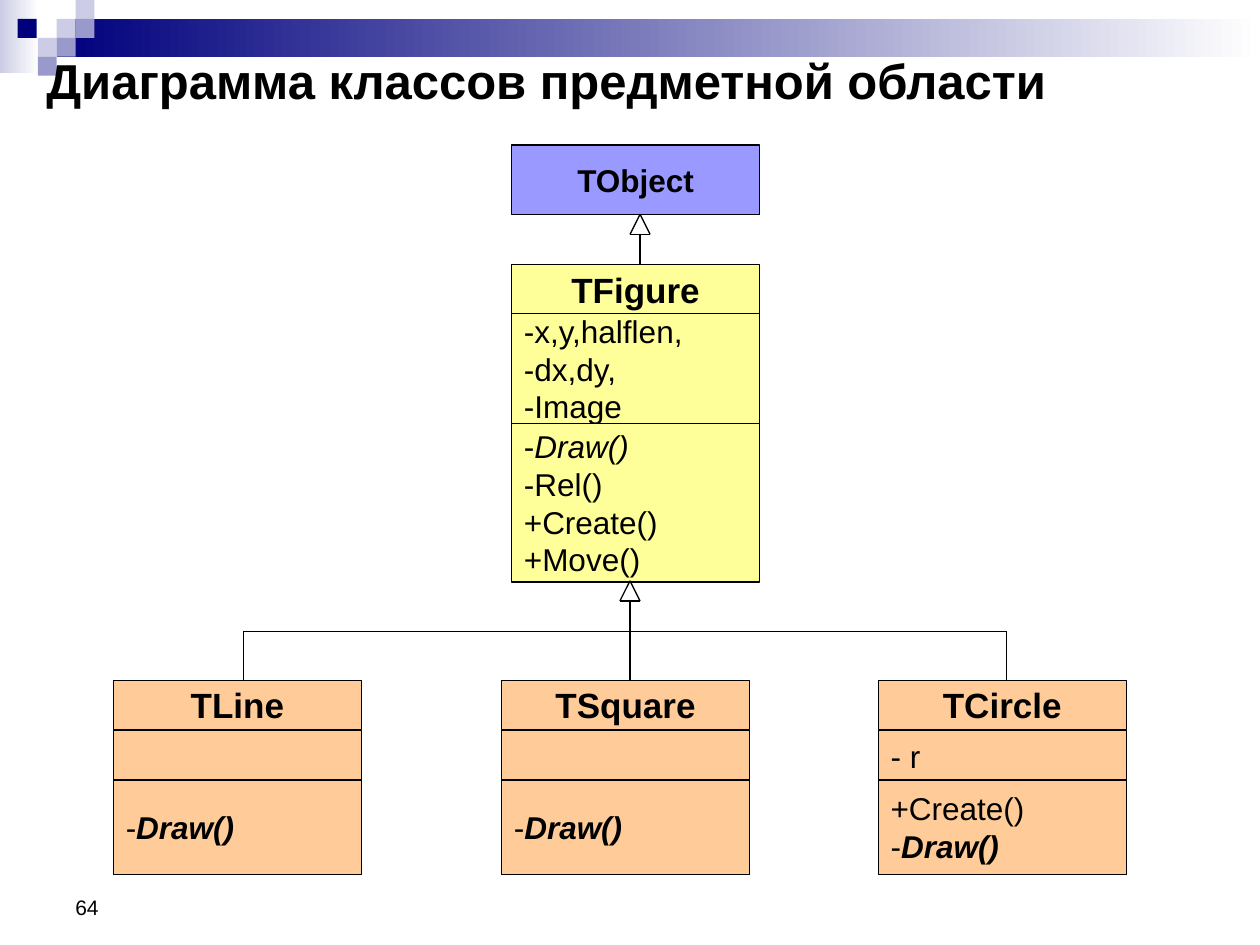
from pptx import Presentation
from pptx.dml.color import RGBColor
from pptx.enum.shapes import MSO_CONNECTOR, MSO_SHAPE
from pptx.enum.text import MSO_ANCHOR, PP_ALIGN
from pptx.oxml.ns import qn
from pptx.util import Inches, Pt
from lxml.etree import SubElement

COLORS = {
    "black": "000000", "white": "FFFFFF", "navy": "00007D",
    "pale": "CCCCE6", "lilac": "9999CC", "root": "9999FF",
    "base": "FFFF99", "child": "FFCC99",
}
FONT = "Arial"
CLASS_W = 1.97

prs = Presentation()
prs.slide_width, prs.slide_height = Inches(10), Inches(7.5)
s = prs.slides.add_slide(prs.slide_layouts[6])


def add_rect(x, y, w, h, *fills, outline=False):
    sp = s.shapes.add_shape(MSO_SHAPE.RECTANGLE, Inches(x), Inches(y), Inches(w), Inches(h))
    sp.shadow.inherit = False
    if len(fills) == 1:
        sp.fill.solid()
        sp.fill.fore_color.rgb = RGBColor.from_string(COLORS[fills[0]])
    else:
        sp.fill.gradient()
        sp.fill.gradient_angle = 0
        for stop, name in zip(sp.fill.gradient_stops, fills):
            stop.color.rgb = RGBColor.from_string(COLORS[name])
    if outline:
        sp.line.color.rgb = RGBColor.from_string(COLORS["black"])
        sp.line.width = Pt(0.75)
    else:
        sp.line.fill.background()
    return sp


def write(sp, lines, size, bold=None, align=PP_ALIGN.LEFT, anchor=MSO_ANCHOR.MIDDLE):
    tf = sp.text_frame
    tf.word_wrap = True
    tf.vertical_anchor = anchor
    for i, line in enumerate(lines):
        p = tf.add_paragraph() if i else tf.paragraphs[0]
        p.alignment = align
        p.font.name, p.font.size, p.font.bold = FONT, Pt(size), bold
        p.font.color.rgb = RGBColor.from_string(COLORS["black"])
        for text, *styles in line:
            r = p.add_run()
            r.text = text
            if "b" in styles:
                r.font.bold = True
            if "i" in styles:
                r.font.italic = True


add_rect(0, 0, 0.31, 0.58, "pale", "white")
add_rect(0.45, 0.15, 9.55, 0.3, "navy", "white")
for x, y, name in [
    (0.45, 0.15, "pale"), (0.6, 0, "pale"), (0.6, 0.15, "lilac"), (0.3, 0.3, "pale"),
    (0.14, 0.15, "navy"), (0.45, 0.3, "lilac"), (0.3, 0.45, "lilac"),
]:
    add_rect(x, y, 0.15, 0.15, name)

number = s.shapes.add_textbox(Inches(0.5), Inches(6.83), Inches(2.33), Inches(0.52))
write(number, [[("64",)]], 12, anchor=MSO_ANCHOR.BOTTOM)
title = s.shapes.add_textbox(Inches(0.27), Inches(0.28), Inches(9.47), Inches(0.71))
write(title, [[("Диаграмма классов предметной области",)]], 28, bold=True)

root = add_rect(4.06, 1.15, CLASS_W, 0.55, "root", outline=True)
write(root, [[("TObject",)]], 18, bold=True, align=PP_ALIGN.CENTER)

fields = [[("-x,y,halflen,",)], [("-dx,dy,",)], [("-Image",)]]
methods = [[("-",), ("Draw()", "i")], [("-Rel()",)], [("+Create()",)], [("+Move()",)]]
draw = [("-",), ("Draw()", "b", "i")]
base_rows = [(2.1, 0.39), (2.49, 0.87), (3.36, 1.26)]
child_rows = [(5.4, 0.39), (5.8, 0.39), (6.19, 0.75)]
for name, x, color, rows, attributes, operations in [
    ("TFigure", 4.06, "base", base_rows, fields, methods),
    ("TLine", 0.9, "child", child_rows, [], [draw]),
    ("TSquare", 3.98, "child", child_rows, [], [draw]),
    ("TCircle", 6.97, "child", child_rows, [[("- r",)]], [[("+Create()",)], draw]),
]:
    head, middle, bottom = [add_rect(x, y, CLASS_W, h, color, outline=True) for y, h in rows]
    write(head, [[(name,)]], 20, bold=True, align=PP_ALIGN.CENTER)
    write(middle, attributes, 18)
    write(bottom, operations, 18)

links = [(1.93, 5.01, 7.99, 5.01)]
for x, top, end in [(5.08, 1.7, 2.1), (5, 4.61, 5.01)]:
    neck = top + 0.16
    links += [
        (x, top, x - 0.08, neck), (x, top, x + 0.08, neck),
        (x - 0.08, neck, x + 0.08, neck), (x, neck, x, end),
    ]
links += [(x, 5.01, x, 5.4) for x in (1.93, 5, 7.99)]
for link in links:
    line = s.shapes.add_connector(MSO_CONNECTOR.STRAIGHT, *[Inches(v) for v in link])
    line.line.color.rgb = RGBColor.from_string(COLORS["black"])
    line.line.width = Pt(0.75)
    SubElement(line._element.spPr, qn("a:effectLst"))

prs.save("out.pptx")
